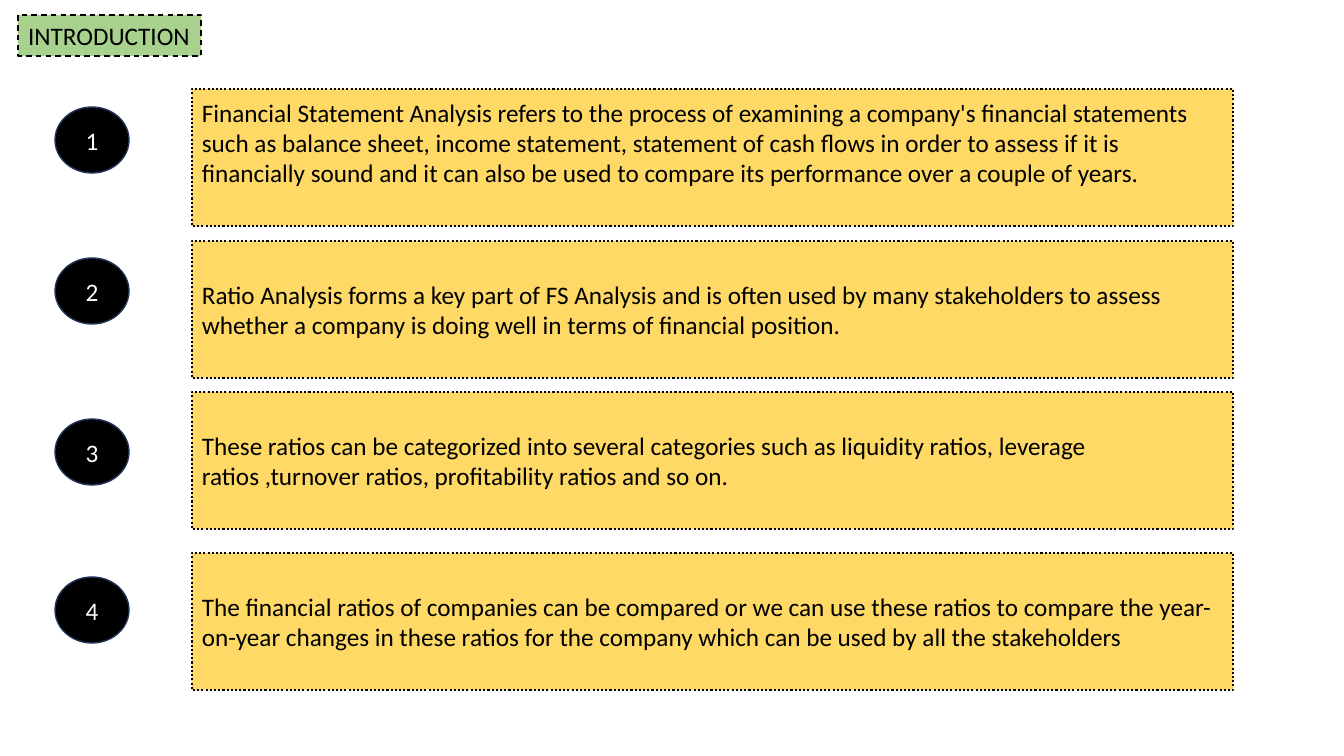
from pptx import Presentation
from pptx.dml.color import RGBColor
from pptx.enum.dml import MSO_LINE
from pptx.enum.shapes import MSO_SHAPE
from pptx.enum.text import MSO_ANCHOR, MSO_AUTO_SIZE, PP_ALIGN
from pptx.util import Emu, Pt

TITLE = "INTRODUCTION"
# Box top, circle top, spare room below the text (px), text
POINTS = [
    (89, 107, 30, "Financial Statement Analysis refers to the process of examining a "
     "company's financial statements such as balance sheet, income statement, statement of "
     "cash flows in order to assess if it is financially sound and it can also be used to "
     "compare its performance over a couple of years."),
    (241, 258, 0, "Ratio Analysis forms a key part of FS Analysis and is often used by many "
     "stakeholders to assess whether a company is doing well in terms of financial position."),
    (392, 419, 0, "These ratios can be categorized into several categories such as liquidity "
     "ratios, leverage ratios ,turnover ratios, profitability ratios and so on."),
    (553, 577, 0, "The financial ratios of companies can be compared or we can use these "
     "ratios to compare the year-on-year changes in these ratios for the company which can "
     "be used by all the stakeholders"),
]

BLACK = RGBColor(0x00, 0x00, 0x00)
WHITE = RGBColor(0xFF, 0xFF, 0xFF)
GREEN = RGBColor(0xA9, 0xD1, 0x8E)
YELLOW = RGBColor(0xFF, 0xD9, 0x66)
NAVY = RGBColor(0x1E, 0x32, 0x56)

RECTANGLE, OVAL = MSO_SHAPE.RECTANGLE, MSO_SHAPE.OVAL
SOLID, DASH, DOTTED = MSO_LINE.SOLID, MSO_LINE.DASH, MSO_LINE.ROUND_DOT
LEFT, CENTER = PP_ALIGN.LEFT, PP_ALIGN.CENTER
TOP, MIDDLE = MSO_ANCHOR.TOP, MSO_ANCHOR.MIDDLE
FIXED_SIZE = MSO_AUTO_SIZE.NONE

TITLE_STYLE = dict(fill=GREEN, line=BLACK, width=1, dash=DASH, color=BLACK,
                   frame=dict(word_wrap=False, vertical_anchor=TOP, auto_size=FIXED_SIZE),
                   align=LEFT)
BOX_STYLE = dict(fill=YELLOW, line=BLACK, width=1.5, dash=DOTTED, color=BLACK,
                 frame=dict(word_wrap=True, vertical_anchor=MIDDLE), align=LEFT)
CIRCLE_STYLE = dict(fill=BLACK, line=NAVY, width=1, dash=SOLID, color=WHITE,
                    frame=dict(word_wrap=True, vertical_anchor=MIDDLE), align=CENTER)

EMU_PER_PX = 914400 / 100.8


def px(length):
    return Emu(round(length * EMU_PER_PX))


def style_shape(shape, text, style):
    shape.fill.solid()
    shape.fill.fore_color.rgb = style["fill"]
    shape.line.color.rgb = style["line"]
    shape.line.width = Pt(style["width"])
    shape.line.dash_style = style["dash"]
    frame = shape.text_frame
    frame.text = text
    for name, value in style["frame"].items():
        setattr(frame, name, value)
    paragraph = frame.paragraphs[0]
    paragraph.alignment = style["align"]
    font = paragraph.runs[0].font
    for name, value in dict(name="Calibri", size=Pt(18)).items():
        setattr(font, name, value)
    font.color.rgb = style["color"]


def add_shape(slide, kind, bounds, text, style):
    shape = slide.shapes.add_shape(kind, *map(px, bounds))
    shape.shadow.inherit = False
    style_shape(shape, text, style)
    return shape


def main():
    presentation = Presentation()
    presentation.slide_width, presentation.slide_height = px(1344), px(756)
    slide = presentation.slides.add_slide(presentation.slide_layouts[5])

    title = slide.shapes.title
    title.left, title.top, title.width, title.height = map(px, (18, 15, 183, 41))
    style_shape(title, TITLE, TITLE_STYLE)

    for number, (box_top, circle_top, spare, text) in enumerate(POINTS, start=1):
        box = add_shape(slide, RECTANGLE, (192, box_top, 1041, 137), text, BOX_STYLE)
        box.text_frame.margin_bottom += px(spare)
        add_shape(slide, OVAL, (55, circle_top, 74, 66), str(number), CIRCLE_STYLE)

    presentation.save("out.pptx")


if __name__ == "__main__":
    main()
